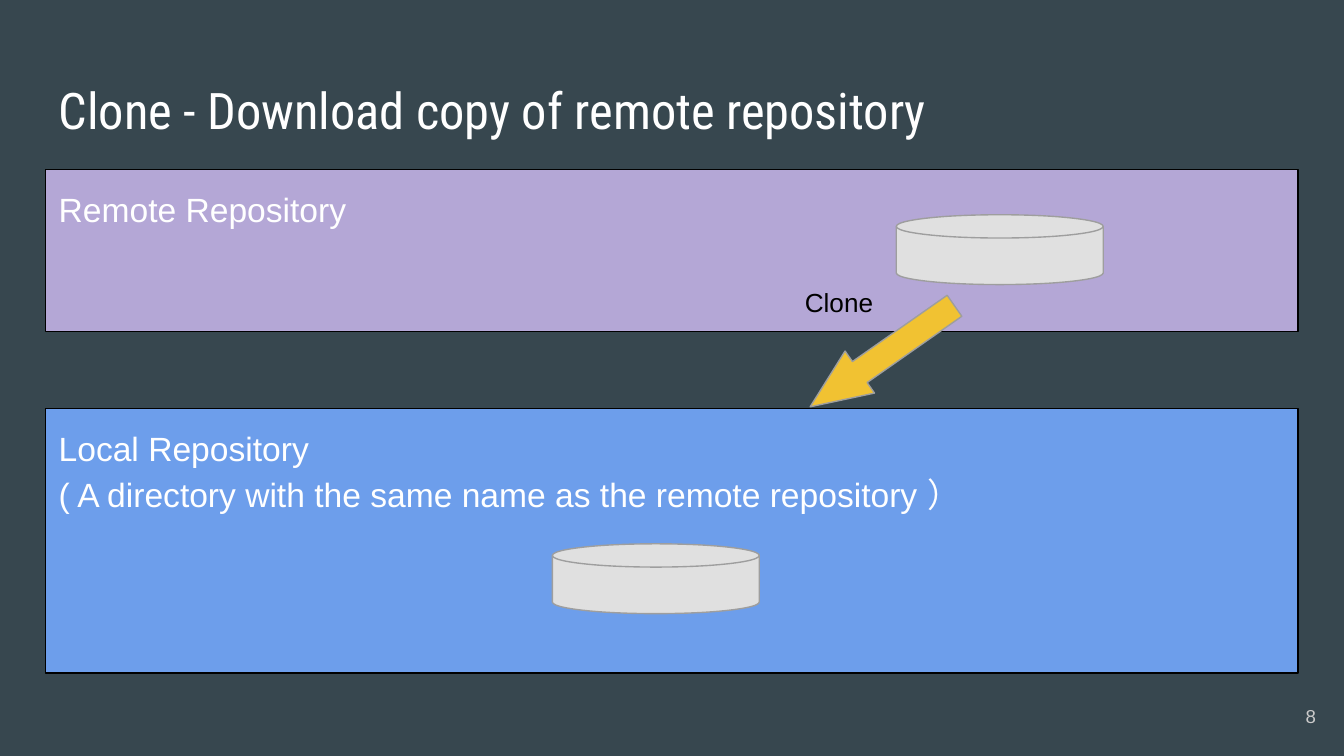
from dataclasses import dataclass

from pptx import Presentation
from pptx import util as u
from pptx.dml.color import RGBColor
from pptx.enum import shapes, text


@dataclass(frozen=True)
class Theme:
    background: str = "37474F"
    light: str = "FFFFFF"
    dark: str = "000000"
    muted: str = "CACACA"
    remote: str = "B4A7D6"
    local: str = "6D9EEB"
    disk: str = "E0E0E0"
    arrow: str = "F1C232"
    outline: str = "9E9E9E"
    title_font: str = "Roboto Condensed"
    body_font: str = "Arial"
    title_size: float = 27
    body_size: float = 18
    label_size: float = 14
    number_size: float = 10
    line_width: float = 0.75


@dataclass(frozen=True)
class Area:
    """Position and size in centimetres."""
    left: float
    top: float
    width: float
    height: float

    def lengths(self) -> tuple:
        return tuple(u.Cm(v) for v in (self.left, self.top, self.width, self.height))


@dataclass(frozen=True)
class Label:
    words: str
    size: float
    color: str
    font: str = Theme.body_font
    align: text.PP_ALIGN = text.PP_ALIGN.LEFT
    anchor: text.MSO_ANCHOR = text.MSO_ANCHOR.TOP
    wrap: bool = True


@dataclass(frozen=True)
class Panel:
    words: str
    top: float
    height: float
    fill: str


THEME = Theme()
MARGIN = 0.86
CONTENT_WIDTH = 23.67
INSET = 0.25
DISK_WIDTH, DISK_HEIGHT = 3.91, 1.32

PANELS = (
    Panel("Remote Repository", 3.2, 3.07, THEME.remote),
    Panel("Local Repository\v( A directory with the same name as the remote repository ）",
          7.72, 5, THEME.local),
)
DISK_CORNERS = ((16.94, 4.06), (10.44, 10.28))


def write(box, label: Label):
    """Put one styled paragraph in a box and return it."""
    frame = box.text_frame
    frame.word_wrap = label.wrap
    frame.vertical_anchor = label.anchor
    frame.margin_left = frame.margin_right = u.Cm(INSET)
    frame.margin_top = frame.margin_bottom = u.Cm(INSET)
    para = frame.paragraphs[0]
    para.text = label.words
    para.alignment = label.align
    para.font.name = label.font
    para.font.size = u.Pt(label.size)
    para.font.color.rgb = RGBColor.from_string(label.color)
    return para


def add_label(page, area: Area, label: Label) -> None:
    write(page.shapes.add_textbox(*area.lengths()), label)


def add_figure(page, kind: shapes.MSO_SHAPE, area: Area, fill: str, line: str):
    figure = page.shapes.add_shape(kind, *area.lengths())
    figure.shadow.inherit = False
    figure.fill.solid()
    figure.fill.fore_color.rgb = RGBColor.from_string(fill)
    figure.line.color.rgb = RGBColor.from_string(line)
    figure.line.width = u.Pt(THEME.line_width)
    return figure


def add_panel(page, panel: Panel) -> None:
    area = Area(MARGIN, panel.top, CONTENT_WIDTH, panel.height)
    box = add_figure(page, shapes.MSO_SHAPE.RECTANGLE, area, panel.fill, THEME.dark)
    para = write(box, Label(panel.words, THEME.body_size, THEME.light))
    para.line_spacing = 1.15
    para.space_after = u.Pt(12)


def main() -> None:
    deck = Presentation()
    deck.slide_width, deck.slide_height = u.Cm(25.4), u.Cm(14.29)
    page = deck.slides.add_slide(deck.slide_layouts[6])
    page.background.fill.solid()
    page.background.fill.fore_color.rgb = RGBColor.from_string(THEME.background)

    # Title
    add_label(page, Area(MARGIN, 1.24, CONTENT_WIDTH, 1.6),
              Label("Clone - Download copy of remote repository",
                    THEME.title_size, THEME.light, THEME.title_font))

    # Repositories and their storage
    for panel in PANELS:
        add_panel(page, panel)
    for left, top in DISK_CORNERS:
        add_figure(page, shapes.MSO_SHAPE.FLOWCHART_MAGNETIC_DISK,
                   Area(left, top, DISK_WIDTH, DISK_HEIGHT), THEME.disk, THEME.outline)

    # Clone step from remote to local
    add_label(page, Area(14.96, 5.16, 2.06, 1.12),
              Label("Clone", THEME.label_size, THEME.dark, wrap=False))
    arrow = add_figure(page, shapes.MSO_SHAPE.RIGHT_ARROW,
                       Area(15.01, 6.25, 3.33, 0.97), THEME.arrow, THEME.outline)
    arrow.adjustments[0], arrow.adjustments[1] = 0.5, 1.18
    arrow.rotation = 145

    # Page number
    add_label(page, Area(23.6, 13, 1.52, 1.09),
              Label("8", THEME.number_size, THEME.muted,
                    align=text.PP_ALIGN.RIGHT, anchor=text.MSO_ANCHOR.MIDDLE))

    deck.save("out.pptx")


if __name__ == "__main__":
    main()
